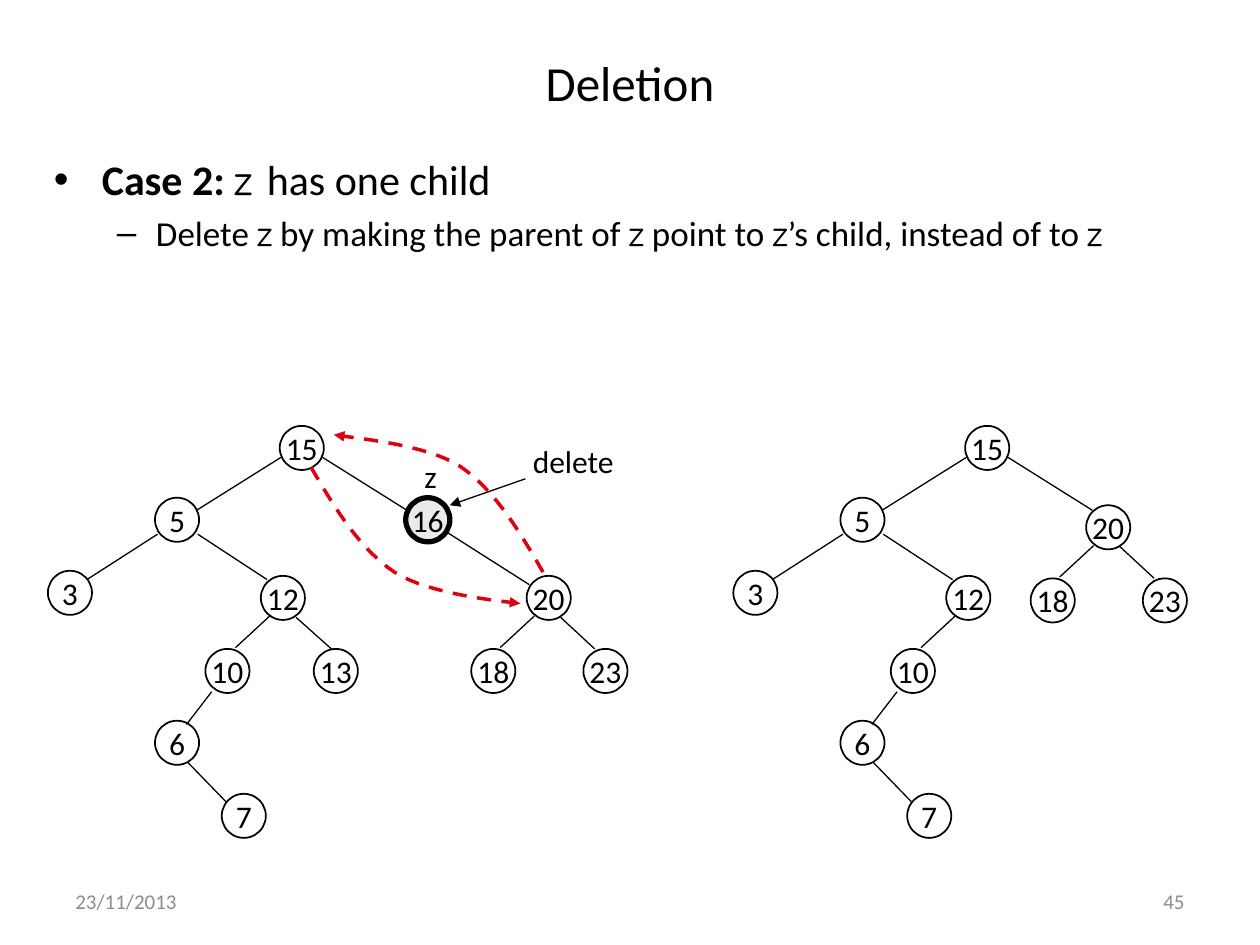
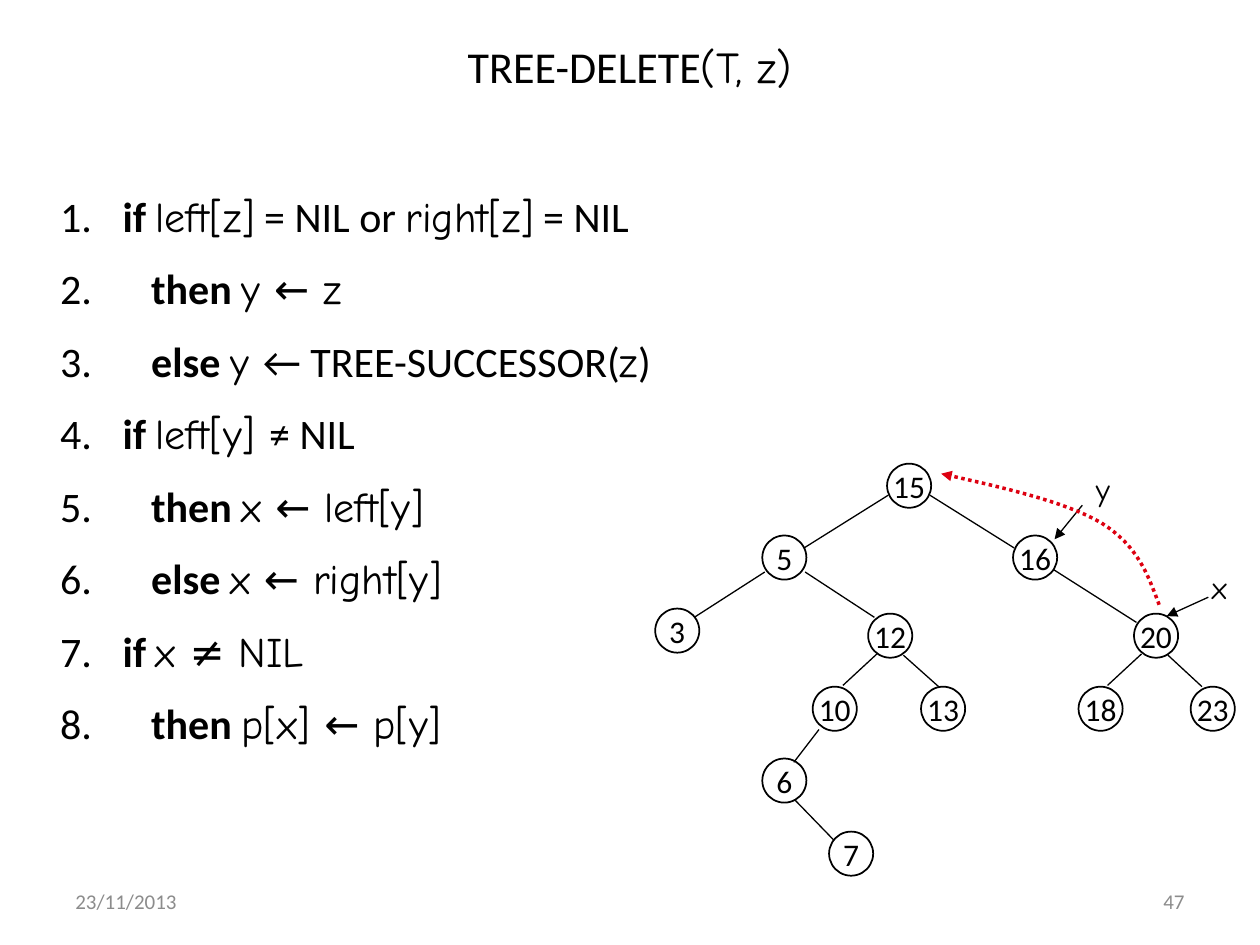
from lxml import etree
from pptx import Presentation
from pptx.dml.color import RGBColor
from pptx.enum.dml import MSO_LINE
from pptx.enum.shapes import MSO_CONNECTOR, MSO_SHAPE
from pptx.enum.text import MSO_ANCHOR, MSO_AUTO_SIZE, PP_ALIGN
from pptx.oxml.ns import qn
from pptx.util import Inches, Pt

LEFT, MID, RIGHT = PP_ALIGN.LEFT, PP_ALIGN.CENTER, PP_ALIGN.RIGHT
TOP, CENTER = MSO_ANCHOR.TOP, MSO_ANCHOR.MIDDLE
FIXED = MSO_AUTO_SIZE.NONE
DASH, DOT = MSO_LINE.DASH, MSO_LINE.ROUND_DOT
STRAIGHT, OVAL = MSO_CONNECTOR.STRAIGHT, MSO_SHAPE.OVAL

COLORS = {"ink": "000000", "paper": "FFFFFF", "mark": "EAEAEA",
          "grey": "8C8C8C", "red": "DD0111"}
FONTS = {"main": "Calibri", "code": "Comic Neue"}
DATE = "23/11/2013"
SIZE = 0.35  # node diameter

# Tree layout: top left corner of each node
NODES = {15: (2.22, 3.38), 16: (3.22, 3.95), 20: (4.18, 4.57),
         18: (3.74, 5.15), 23: (4.63, 5.15), 5: (1.23, 3.95),
         3: (0.38, 4.53), 12: (2.07, 4.57), 10: (1.63, 5.15),
         13: (2.49, 5.15), 6: (1.23, 5.72), 7: (1.76, 6.3)}
# The branch that leads down to each node
EDGES = {16: (2.56, 3.63, 3.23, 4.05), 20: (3.54, 4.22, 4.2, 4.64),
         18: (4.24, 4.89, 3.97, 5.14), 23: (4.45, 4.9, 4.72, 5.15),
         5: (2.23, 3.63, 1.56, 4.05), 3: (1.25, 4.24, 0.69, 4.6),
         12: (1.57, 4.24, 2.12, 4.6), 10: (2.14, 4.89, 1.87, 5.14),
         13: (2.35, 4.9, 2.63, 5.15), 6: (1.68, 5.49, 1.48, 5.75),
         7: (1.49, 6.05, 1.8, 6.37)}


def color(name):
    return RGBColor.from_string(COLORS[name])


def bezier(a, b, c, d, steps=16):
    """Points after a on the cubic curve a, b, c, d."""
    for i in range(1, steps + 1):
        t = i / steps
        u = 1 - t
        yield tuple(u**3 * p + 3 * u * u * t * q + 3 * u * t * t * r + t**3 * s
                    for p, q, r, s in zip(a, b, c, d))


class Deck:
    def __init__(self):
        self.prs = Presentation()
        self.prs.slide_width = Inches(10)
        self.prs.slide_height = Inches(7.5)
        self.slide = None

    def page(self, num, runs, height, size):
        """Start a slide with its title and footer."""
        self.slide = self.prs.slides.add_slide(self.prs.slide_layouts[5])
        title = self.slide.shapes.title
        title.left, title.top = Inches(0.5), Inches(0.3)
        title.width, title.height = Inches(9), Inches(height)
        frame = self.frame(title, CENTER)
        self.put(frame.paragraphs[0], runs, size, align=MID)
        for x, text, align in ((0.5, DATE, LEFT), (7.17, str(num), RIGHT)):
            self.text(x, 6.95, 2.33, 0.4, [(text, "")], 12, "grey", align, CENTER)

    def frame(self, shape, anchor=TOP, wrap=True):
        frame = shape.text_frame
        frame.word_wrap = wrap
        frame.auto_size = FIXED
        frame.vertical_anchor = anchor
        return frame

    def put(self, para, runs, size, ink="ink", align=LEFT):
        """Runs are (text, style): b is bold, c is the code font."""
        para.alignment = align
        for text, style in runs:
            run = para.add_run()
            run.text = text
            font = run.font
            font.name = FONTS["code" if style == "c" else "main"]
            font.size = Pt(size)
            font.bold = style == "b"
            font.color.rgb = color(ink)

    def box(self, x, y, w, h, anchor=TOP):
        shape = self.slide.shapes.add_textbox(
            Inches(x), Inches(y), Inches(w), Inches(h))
        return self.frame(shape, anchor)

    def text(self, x, y, w, h, runs, size=18, ink="ink", align=LEFT, anchor=TOP):
        frame = self.box(x, y, w, h, anchor)
        self.put(frame.paragraphs[0], runs, size, ink, align)

    def items(self, x, y, w, h, rows, space=None):
        """Rows are (level, indent, hang, bullet, size, runs)."""
        frame = self.box(x, y, w, h)
        for i, (level, indent, hang, mark, size, runs) in enumerate(rows):
            para = frame.add_paragraph() if i else frame.paragraphs[0]
            para.level = level
            props = para._p.get_or_add_pPr()
            props.set("marL", str(Inches(indent)))
            props.set("indent", str(-Inches(hang)))
            if mark == "1.":
                etree.SubElement(props, qn("a:buAutoNum"), type="arabicPeriod")
            else:
                etree.SubElement(props, qn("a:buFont"), typeface="Arial")
                etree.SubElement(props, qn("a:buChar"), char=mark)
            if space:
                para.line_spacing = space
            if i:
                para.space_before = Pt(4)
            self.put(para, runs, size)

    def head(self, line):
        etree.SubElement(line._get_or_add_ln(), qn("a:tailEnd"), type="triangle")

    def line(self, x1, y1, x2, y2, arrow=False):
        link = self.slide.shapes.add_connector(
            STRAIGHT, Inches(x1), Inches(y1), Inches(x2), Inches(y2))
        link.line.color.rgb = color("ink")
        link.line.width = Pt(0.75)
        etree.SubElement(link._element.spPr, qn("a:effectLst"))
        if arrow:
            self.head(link.line)

    def curve(self, dash, start, *parts):
        """Red arrow through cubic parts, each (control, control, end)."""
        pts = [start]
        for part in parts:
            pts.extend(bezier(pts[-1], *part))
        pts = [(Inches(x), Inches(y)) for x, y in pts]
        outline = self.slide.shapes.build_freeform(*pts[0])
        outline.add_line_segments(pts[1:], close=False)
        shape = outline.convert_to_shape()
        shape.shadow.inherit = False
        shape.fill.background()
        shape.line.color.rgb = color("red")
        shape.line.width = Pt(2)
        shape.line.dash_style = dash
        self.head(shape.line)

    def node(self, key, x, y, bold):
        shape = self.slide.shapes.add_shape(
            OVAL, Inches(x), Inches(y), Inches(SIZE), Inches(SIZE))
        shape.shadow.inherit = False
        shape.fill.solid()
        shape.fill.fore_color.rgb = color("mark" if bold else "paper")
        shape.line.color.rgb = color("ink")
        shape.line.width = Pt(3 if bold else 1)
        frame = self.frame(shape, CENTER, False)
        self.put(frame.paragraphs[0], [(str(key), "")], 18, align=MID)

    def tree(self, keys, kids, dx=0, dy=0, bold=None):
        """Draw the nodes in keys and the branches down to kids."""
        for key in keys:
            x, y = NODES[key]
            self.node(key, x + dx, y + dy, key == bold)
        for kid in kids:
            x1, y1, x2, y2 = EDGES[kid]
            self.line(x1 + dx, y1 + dy, x2 + dx, y2 + dy)


def case(deck):
    deck.page(45, [("Deletion", "")], 0.7, 28)
    deck.items(0.33, 1.17, 9, 1.89, [
        (0, 0.38, 0.38, "•", 24,
         [("Case 2: ", "b"), ("z ", "c"), ("has one child", "")]),
        (1, 0.81, 0.31, "–", 20,
         [("Delete ", ""), ("z", "c"), (" by making the parent of ", ""),
          ("z", "c"), (" point to ", ""), ("z", "c"),
          ("’s child, instead of to ", ""), ("z", "c")]),
    ])
    # Before: 16 is to be removed
    deck.tree(NODES, EDGES, bold=16)
    deck.text(4.13, 3.46, 0.88, 0.4, [("delete", "")])
    deck.line(4.17, 3.8, 3.57, 4.01, arrow=True)
    deck.text(3.27, 3.58, 0.33, 0.4, [("z", "")])
    # After: 20 moves up with its children
    stay = (5, 3, 12, 10, 6, 7)
    deck.tree((15, *stay), (16, *stay), 5.44)
    deck.tree((20, 18, 23), (18, 23), 4.44, -0.56)
    # New links
    deck.curve(DASH, (2.47, 3.71),
               ((2.66, 4.04), (2.86, 4.36), (3.13, 4.54)),
               ((3.41, 4.72), (3.97, 4.77), (4.13, 4.79)))
    deck.curve(DASH, (4.31, 4.54),
               ((4.12, 4.21), (3.92, 3.88), (3.65, 3.7)),
               ((3.37, 3.52), (2.81, 3.48), (2.65, 3.45)))


def steps(deck):
    deck.page(47, [("TREE-DELETE", ""), ("(T, z)", "c")], 0.45, 25.2)
    # Numbered steps
    lines = [
        ("if ", ("left[z]", "c"), (" = NIL or ", ""), ("right[z]", "c"),
         (" = NIL", "")),
        ("then ", ("y ← z", "c")),
        ("else ", ("y ", "c"), ("← TREE-SUCCESSOR(", ""), ("z", "c"), (")", "")),
        ("if ", ("left[y] ", "c"), ("≠ NIL", "")),
        ("then ", ("x ← left[y]", "c")),
        ("else ", ("x ← right[y]", "c")),
        ("if ", ("x ≠ NIL", "c")),
        ("then ", ("p[x] ← p[y]", "c")),
    ]
    rows = []
    for word, *rest in lines:
        pad = " " if word == "if " else "    "
        rows.append((0, 0.42, 0.42, "1.", 24, [(pad, ""), (word, "b"), *rest]))
    deck.items(0.38, 1.34, 7.13, 5.79, rows, 1.3)
    # Tree with its pointers
    deck.tree(NODES, EDGES, 4.82, 0.3)
    deck.line(8.59, 4.01, 8.37, 4.28, arrow=True)
    deck.text(8.6, 3.68, 0.33, 0.4, [("y", "c")])
    deck.line(9.59, 4.74, 9.26, 4.89, arrow=True)
    deck.text(9.52, 4.46, 0.33, 0.4, [("x", "c")])
    deck.curve(DOT, (9.2, 4.8),
               ((9.11, 4.56), (9.03, 4.33), (8.74, 4.15)),
               ((8.45, 3.98), (7.96, 3.87), (7.47, 3.76)))


def main():
    deck = Deck()
    case(deck)
    steps(deck)
    deck.prs.save("out.pptx")


if __name__ == "__main__":
    main()
